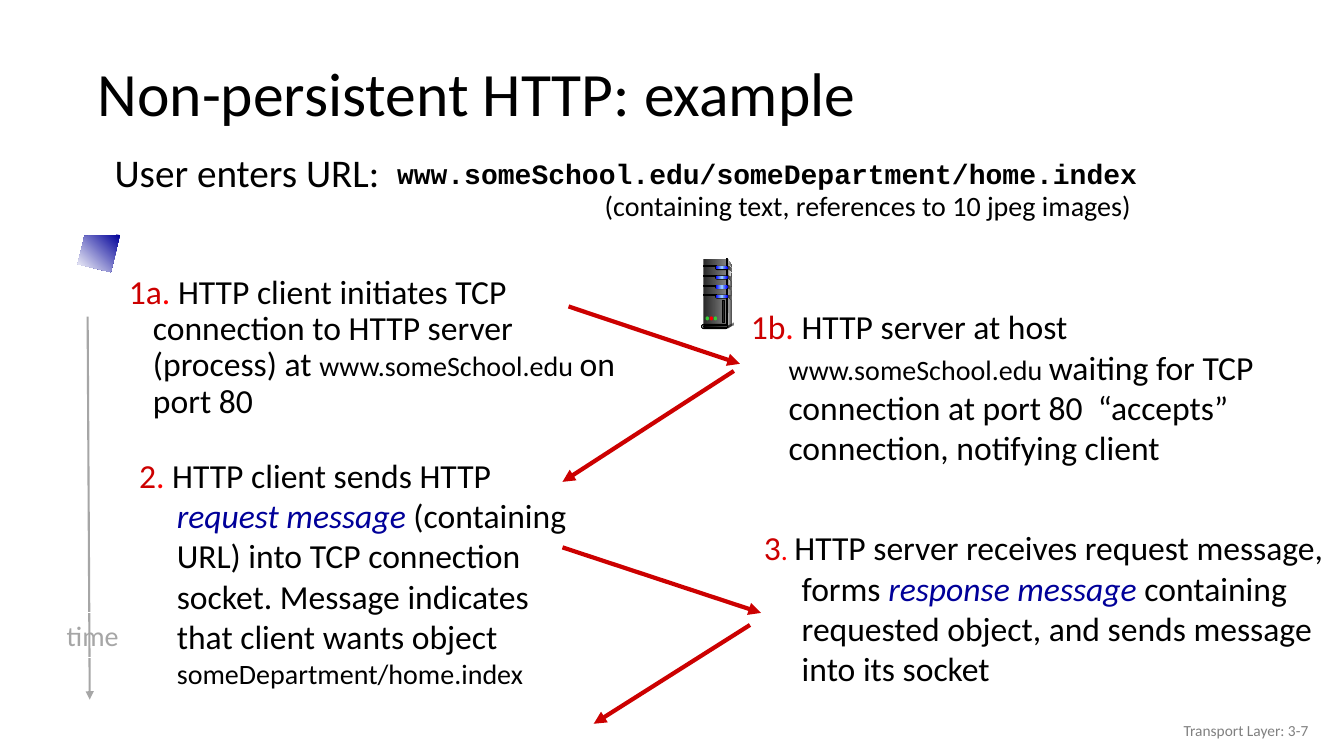
from copy import deepcopy
from pptx import Presentation
from pptx.dml.color import RGBColor
from pptx.enum import shapes, text
from pptx.oxml.ns import qn
from pptx.oxml.xmlchemy import OxmlElement
from pptx.util import Pt

BLACK = RGBColor(0, 0, 0)
WHITE = RGBColor(255, 255, 255)
CRIMSON = RGBColor(0xCC, 0, 0)
RED = RGBColor(255, 0, 0)
NAVY = RGBColor(0, 0, 0x99)
BLUE = RGBColor(0, 0, 255)
SKY = RGBColor(0x99, 0xCC, 255)
GREEN = RGBColor(0x33, 0xCC, 0x33)
SILVER = RGBColor(0xA6, 0xA6, 0xA6)
GRAY = RGBColor(0x80, 0x80, 0x80)
PALE = RGBColor(0xDD, 0xDD, 0xDD)
LIGHT = RGBColor(0xF8, 0xF8, 0xF8)
DARK = RGBColor(0x33, 0x33, 0x33)
COAL = RGBColor(0x29, 0x29, 0x29)

RECT = shapes.MSO_SHAPE.RECTANGLE
PILL = shapes.MSO_SHAPE.ROUNDED_RECTANGLE
OVAL = shapes.MSO_SHAPE.OVAL
ALIGN = text.PP_ALIGN
STEEL = (COAL, GRAY)


def write(frame, runs, align=ALIGN.LEFT, hang=None, space=None, before=None):
    para = frame.paragraphs[0]
    para.alignment = align
    para.line_spacing = space
    if before:
        para.space_before = Pt(before)
    if hang:
        props = para._p.get_or_add_pPr()
        props.set("marL", str(Pt(hang[0])))
        props.set("indent", str(Pt(-hang[1])))
    for words, size, color, *style in runs:
        run = para.add_run()
        run.text = words
        run.font.size = Pt(size)
        run.font.color.rgb = color
        run.font.name = "Courier New" if "code" in style else "Calibri"
        run.font.bold = "code" in style
        run.font.italic = "italic" in style


def label(slide, box, runs, middle=False, **style):
    frame = slide.shapes.add_textbox(*map(Pt, box)).text_frame
    frame.word_wrap = True
    if middle:
        frame.vertical_anchor = text.MSO_ANCHOR.MIDDLE
    write(frame, runs, **style)


def arrow(slide, start, end, color, width):
    line = slide.shapes.add_connector(
        shapes.MSO_CONNECTOR.STRAIGHT, *map(Pt, start + end))
    line.line.color.rgb = color
    line.line.width = Pt(width)
    head = OxmlElement("a:tailEnd")
    head.set("type", "triangle")
    line.line._get_or_add_ln().append(head)
    line._element.spPr.append(OxmlElement("a:effectLst"))


def paint(shape, colors, angle=0, edge=False):
    shape.shadow.inherit = False
    if len(colors) == 1:
        shape.fill.solid()
        shape.fill.fore_color.rgb = colors[0]
    else:
        shape.fill.gradient()
        shape.fill.gradient_angle = angle
        stops = shape._element.spPr.find(".//" + qn("a:gsLst"))
        for _ in colors[2:]:
            stops.append(deepcopy(stops[-1]))
        for i, (stop, color) in enumerate(zip(shape.fill.gradient_stops, colors)):
            stop.position = i / (len(colors) - 1)
            stop.color.rgb = color
    if edge:
        shape.line.color.rgb = BLACK
        shape.line.width = Pt(0.75)
    else:
        shape.line.fill.background()


def block(slide, kind, box, colors, edge=False):
    shape = slide.shapes.add_shape(kind, *map(Pt, box))
    if kind == PILL:
        shape.adjustments[0] = 0.5
    paint(shape, colors, edge=edge)


def outline(slide, origin, points, colors, angle=0):
    spots = [(Pt(origin[0] + x), Pt(origin[1] + y)) for x, y in points]
    build = slide.shapes.build_freeform(*spots[0])
    build.add_line_segments(spots[1:])
    paint(build.convert_to_shape(), colors, angle)


def server(slide, left, top):
    def part(kind, x, y, w, h, *colors, edge=False):
        block(slide, kind, (left + x, top + y, w, h), colors, edge)

    def face(points, *colors):
        outline(slide, (left, top), points, colors)

    face([(18.7, 0), (22.3, 5.8), (22.3, 46), (18, 48.2)], PALE, DARK)
    part(RECT, 1.4, 0, 16.6, 48.2, *STEEL)
    face([(18.7, 2.9), (21.6, 6.5), (19.5, 20), (18.7, 46.8)], GRAY, LIGHT)
    part(RECT, 18, 0, 0.7, 48.2, DARK, PALE, DARK, edge=True)
    for i in range(4):
        y = 5 + 6.8 * i
        part(RECT, 1.4, y, 9.4, 0.7, BLACK, edge=True)
        part(PILL, 9.7, y, 9.4, 2.9, BLACK)
        part(PILL, 10.1, y + 0.3, 8.6, 2.2, BLUE, SKY, BLUE)
        face([(18.7, y), (22.3, y + 2.1), (22.3, y + 4.2), (18.7, y + 1.9)], *STEEL)
    part(OVAL, 22.3, 45.4, 0.7, 2.2, DARK)
    face([(18.7, 47.5), (18.7, 49.7), (22.3, 47.5), (22.3, 46)], DARK)
    part(PILL, 0, 46.8, 18.7, 2.9, PALE, edge=True)
    part(PILL, 1.4, 47.5, 17.3, 1.4, BLACK, GRAY, edge=True)
    for i, color in enumerate((GREEN, RED, GREEN)):
        part(OVAL, 2.9 + 2.9 * i, 41, 2.4, 2.9, color)
    part(RECT, 15.1, 29.5, 1.4, 15.8, COAL, edge=True)


def header(slide, left, top):
    label(slide, (left, top, 828, 70.6),
          [("Non-persistent HTTP: example", 44, BLACK)], middle=True, space=0.9)
    label(slide, (left + 1.5, top + 72.7, 625.7, 36.7),
          [("User enters URL:", 28, BLACK)], hang=(28, 17.3), space=0.9, before=10)
    label(slide, (left + 306, top + 97.2, 502.6, 31.7),
          [("(containing text, references to 10 jpeg images)", 20, BLACK)],
          align=ALIGN.CENTER)
    label(slide, (left + 213.9, top + 77.8, 625.7, 36.7),
          [("www.someSchool.edu/someDepartment/home.index", 20, BLACK, "code")],
          hang=(27, 27), space=0.85)


def clock(slide, left, top):
    arrow(slide, (left + 23, top), (left + 24.5, top + 273.6), SILVER, 1.5)
    tag = slide.shapes.add_shape(
        RECT, *map(Pt, (left, top + 211.7, 53.3, 31.7)))
    tag.shadow.inherit = False
    tag.fill.background()
    tag.line.color.rgb = WHITE
    tag.line.width = Pt(0.75)
    tag.text_frame.word_wrap = False
    write(tag.text_frame, [("time", 20, SILVER)], align=ALIGN.CENTER)


def step(slide, box, mark, runs, dot=(".", 24, RED), **style):
    style = {"hang": (27, 27), **style}
    label(slide, box, [(mark, 24, CRIMSON), dot, *runs], **style)


def client(slide, left, top):
    step(slide, (left, top, 381.6, 149.8), "1a", [
        (" HTTP client initiates TCP connection to HTTP server (process) at ", 24, BLACK),
        ("www.someSchool.edu ", 20, BLACK),
        ("on port 80", 24, BLACK)], hang=(28, 17.3), space=0.9, before=10)
    step(slide, (left + 18, top + 128.2, 331.9, 85), "2", [
        (" HTTP client sends HTTP ", 24, BLACK),
        ("request message", 24, NAVY, "italic"),
        (" (containing URL) into TCP connection socket. Message indicates "
         "that client wants object ", 24, BLACK),
        ("someDepartment/home.index", 20, BLACK)])


def host(slide, left, top):
    step(slide, (left, top, 424.1, 118.8), "1b", [
        (" HTTP server at host ", 24, BLACK),
        ("www.someSchool.edu ", 20, BLACK),
        ("waiting for TCP connection at port 80  “accepts” connection, "
         "notifying client", 24, BLACK)])
    step(slide, (left + 9.4, top + 157.7, 424.8, 141.8), "3", [
        ("HTTP server receives request message, forms ", 24, BLACK),
        ("response message", 24, NAVY, "italic"),
        (" containing requested object, and sends message into its socket",
         24, BLACK)], dot=(". ", 20, RED))


def main():
    deck = Presentation()
    deck.slide_width, deck.slide_height = Pt(960), Pt(540)
    slide = deck.slides.add_slide(deck.slide_layouts[6])
    header(slide, 62.6, 33.8)
    clock(slide, 39.6, 226.1)
    client(slide, 74.2, 193)
    host(slide, 529.2, 215.3)
    for start, end in (((406.1, 218.9), (528.5, 259.9)),
                       ((524.2, 265), (401.8, 344.2)),
                       ((401.8, 391), (543.6, 437.8)),
                       ((535.7, 446.4), (424.1, 517))):
        arrow(slide, start, end, CRIMSON, 3)
    outline(slide, (55.4, 167.8),
            [(30.3, 0), (5, 0.7), (0, 20.9), (23.8, 26.6)], (NAVY, WHITE), 225)
    server(slide, 501.1, 185)
    label(slide, (725.8, 507.6, 216, 28.8),
          [("Transport Layer: 3-7", 11, GRAY)], middle=True, align=ALIGN.RIGHT)
    deck.save("out.pptx")


if __name__ == "__main__":
    main()
